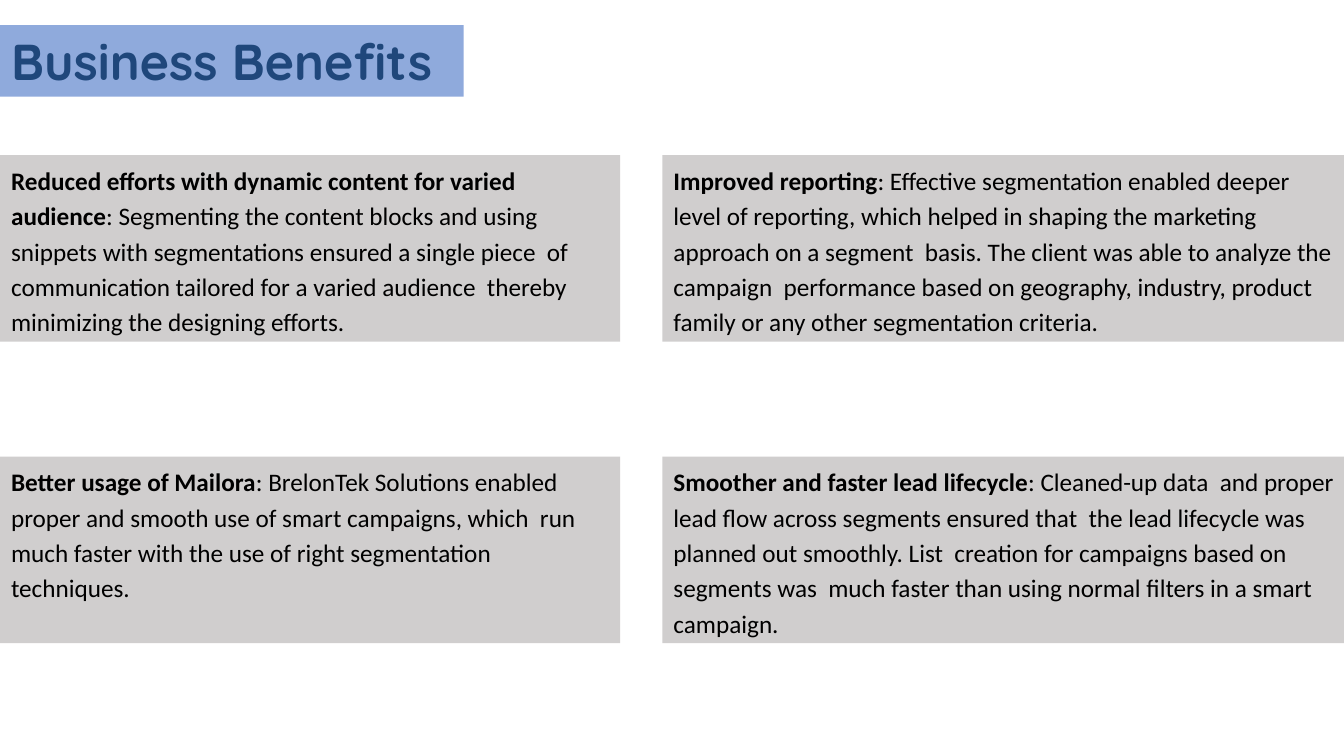
from pptx import Presentation
from pptx.dml.color import RGBColor
from pptx.enum.shapes import MSO_SHAPE
from pptx.enum.text import MSO_ANCHOR, MSO_AUTO_SIZE, PP_ALIGN
from pptx.util import Inches, Pt

COLORS = {"banner": "8FAADC", "title": "1F477B", "panel": "D0CECE", "text": "000000"}


class BenefitsSlide:
    """Holds the style and the current slide."""

    title_font, title_size = "Quicksand", Pt(36)
    body_font, body_size = "Calibri", Pt(18)
    line_spacing = 1.17

    def __init__(self, deck):
        self.page = deck.slides.add_slide(deck.slide_layouts[6])

    def rectangle(self, left, top, width, height, color):
        box = self.page.shapes.add_shape(
            MSO_SHAPE.RECTANGLE, Inches(left), Inches(top), Inches(width), Inches(height))
        box.shadow.inherit = False
        box.fill.solid()
        box.fill.fore_color.rgb = RGBColor.from_string(COLORS[color])
        box.line.fill.background()
        frame = box.text_frame
        frame.word_wrap = True
        frame.auto_size = MSO_AUTO_SIZE.NONE
        frame.vertical_anchor = MSO_ANCHOR.TOP
        frame.margin_left = Inches(0.11)
        frame.paragraphs[0].alignment = PP_ALIGN.LEFT
        return box

    def style(self, span, font, size, color, bold):
        span.font.name = font
        span.font.size = size
        span.font.bold = bold
        span.font.color.rgb = RGBColor.from_string(COLORS[color])

    def title(self, text, left, top, width, height):
        box = self.rectangle(left, top, width, height, "banner")
        para = box.text_frame.paragraphs[0]
        para.text = text
        self.style(para.runs[0], self.title_font, self.title_size, "title", True)

    def panel(self, heading, body, left, top, width, height):
        box = self.rectangle(left, top, width, height, "panel")
        para = box.text_frame.paragraphs[0]
        para.line_spacing = self.line_spacing
        for text, bold in ((heading, True), (": " + body, False)):
            span = para.add_run()
            span.text = text
            self.style(span, self.body_font, self.body_size, "text", bold)


def main():
    deck = Presentation()
    deck.slide_width, deck.slide_height = Inches(13.33), Inches(7.5)
    slide = BenefitsSlide(deck)

    # Title banner, wide enough for the title on one line
    slide.title("Business Benefits", 0, 0.25, 4.6, 0.71)

    # Benefit panels: two columns of two rows
    columns = ((0, 6.15), (6.57, 6.76))
    rows = (1.54, 4.53)
    benefits = (
        (("Reduced efforts with dynamic content for varied audience",
          "Segmenting the content blocks and using snippets with segmentations ensured "
          "a single piece  of communication tailored for a varied audience  thereby "
          "minimizing the designing efforts."),
         ("Improved reporting",
          "Effective segmentation enabled deeper level of reporting, which helped in "
          "shaping the marketing approach on a segment  basis. The client was able to "
          "analyze the campaign  performance based on geography, industry, product "
          "family or any other segmentation criteria.")),
        (("Better usage of Mailora",
          "BrelonTek Solutions enabled proper and smooth use of smart campaigns, which  "
          "run much faster with the use of right segmentation techniques."),
         ("Smoother and faster lead lifecycle",
          "Cleaned-up data  and proper lead flow across segments ensured that  the lead "
          "lifecycle was planned out smoothly. List  creation for campaigns based on "
          "segments was  much faster than using normal filters in a smart campaign.")),
    )
    for top, row in zip(rows, benefits):
        for (left, width), (heading, body) in zip(columns, row):
            slide.panel(heading, body, left, top, width, 1.85)

    deck.save("out.pptx")


if __name__ == "__main__":
    main()
